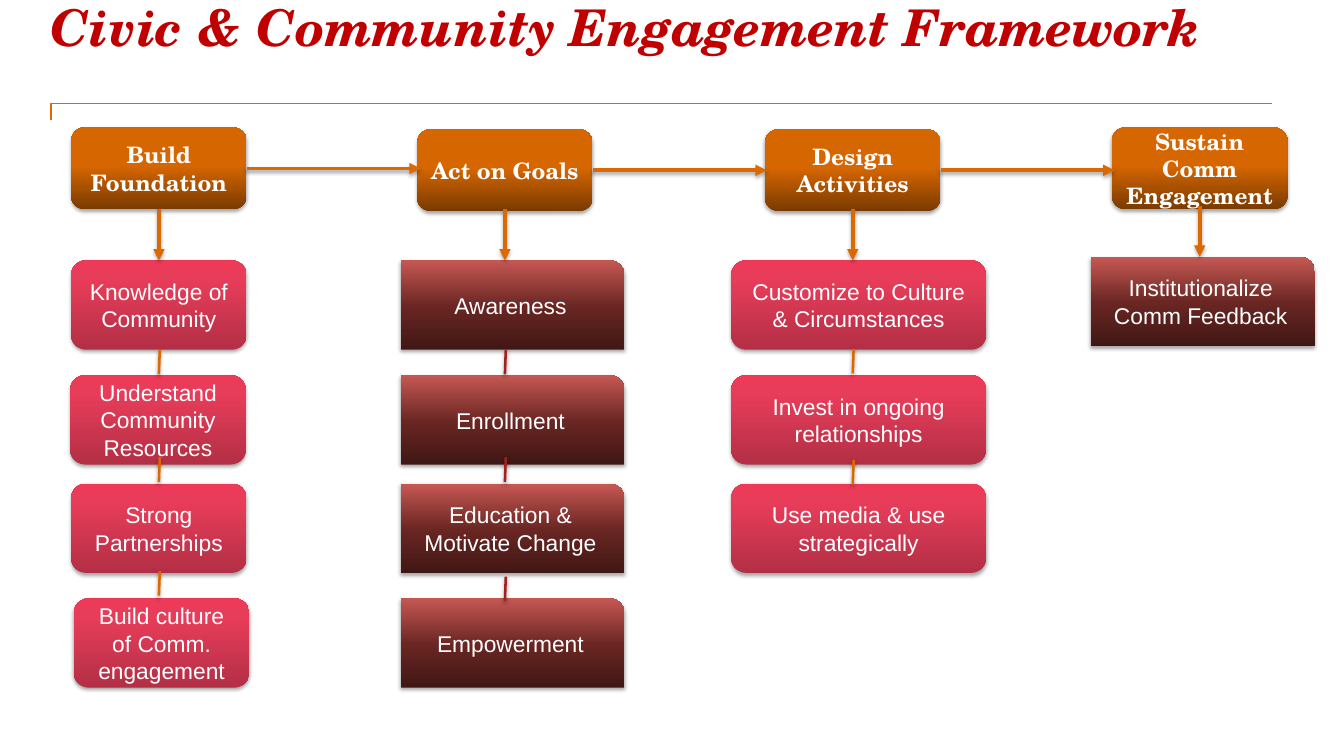
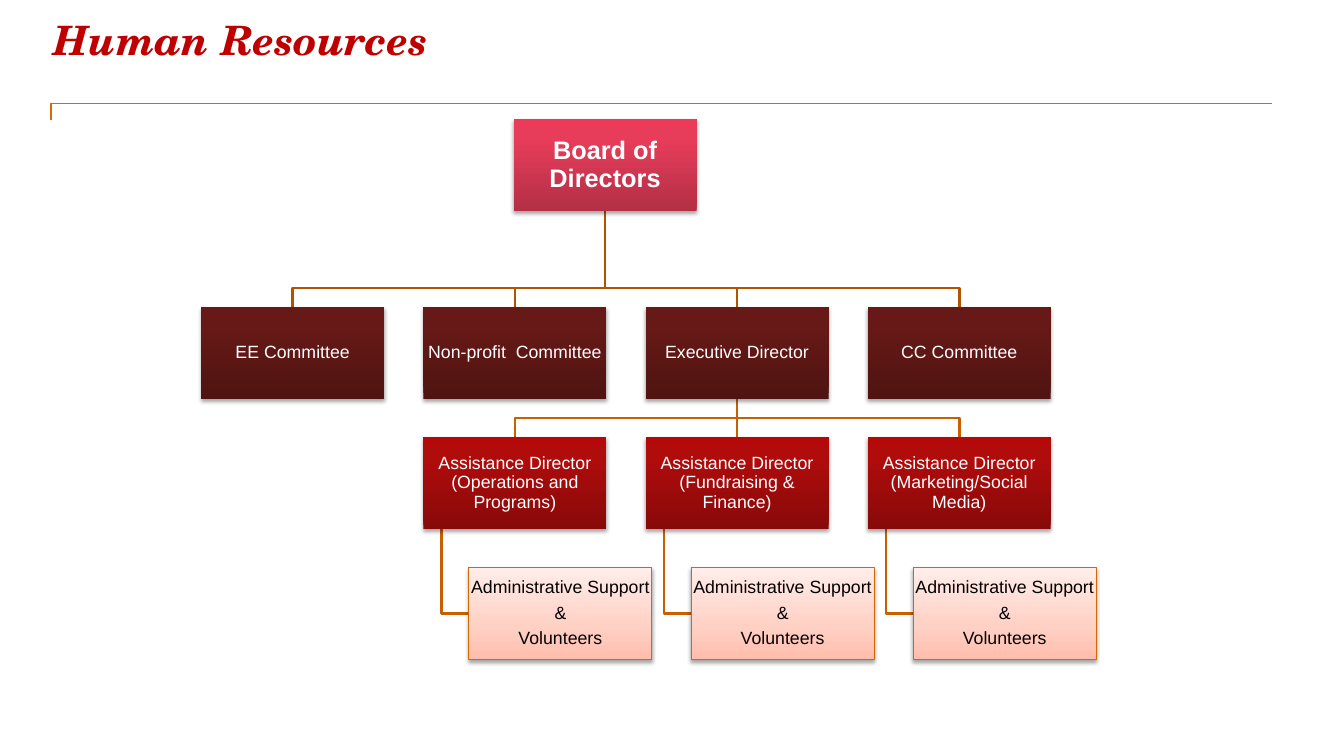
from copy import deepcopy
from dataclasses import dataclass
from typing import NamedTuple

from lxml.etree import SubElement
from pptx import Presentation
from pptx.dml.color import RGBColor
from pptx.enum.shapes import MSO_CONNECTOR as CONN, MSO_SHAPE as SHAPE
from pptx.enum.text import MSO_ANCHOR as ANCHOR, MSO_AUTO_SIZE as AUTO, PP_ALIGN as ALIGN
from pptx.oxml.ns import qn
from pptx.util import Inches, Pt

COLORS = {
    "white": "FFFFFF", "black": "000000", "title": "C00000", "orange": "DC6900",
    "red": "A32020", "upper_branch": "B05400", "lower_branch": "C85F00", "edge": "D76700",
}
GRADIENTS = {
    "orange": ((0, "793A00"), (53, "D56600"), (100, "D66600")),
    "pink": ((0, "B32F45"), (80, "E83D5A"), (100, "EC3A58")),
    "brown": ((0, "401715"), (48, "692623"), (100, "C65853")),
    "maroon": ((0, "4F1411"), (80, "661916"), (100, "681814")),
    "crimson": ((0, "880909"), (80, "B10C0C"), (100, "B50909")),
    "peach": ((0, "FFBDAC"), (35, "FFD0C4"), (100, "FFEDE9")),
}
SERIF, SANS = "TeX Gyre Schola", "Arial"


class Step(NamedTuple):
    text: str
    dx: float = 0


@dataclass
class Stage:
    title: str
    left: float
    top: float
    fill: str
    step_left: float
    step_width: float
    steps: list[Step]
    link_tops: tuple = ()
    link_color: str = "orange"
    shape: SHAPE = SHAPE.ROUNDED_RECTANGLE
    first_row: float = 2.86


@dataclass
class BoxStyle:
    fill: str
    size: float = 18
    font: str = SANS
    bold: bool = False
    color: str = "white"
    shape: SHAPE = SHAPE.RECTANGLE
    edge: str = ""
    inset: float = 0
    line_spacing: float = 1
    space_after: float = 0


HEAD_W, HEAD_H, STEP_H = 1.93, 0.9, 0.98
ROW_OFFSETS = (0, 1.26, 2.45, 3.71)
DROP, LINK = 0.56, 0.27
STAGES = [
    Stage("Build Foundation", 0.78, 1.4, "pink", 0.78, 1.93,
          [Step("Knowledge of Community"), Step("Understand Community Resources", -0.01),
           Step("Strong Partnerships"), Step("Build culture of Comm. engagement", 0.03)],
          (3.84, 5.02, 6.27)),
    Stage("Act on Goals", 4.58, 1.42, "brown", 4.4, 2.46,
          [Step("Awareness"), Step("Enrollment"), Step("Education & Motivate Change"),
           Step("Empowerment")],
          (3.84, 5.02, 6.33), "red", SHAPE.ROUND_1_RECTANGLE),
    Stage("Design Activities", 8.4, 1.42, "pink", 8.03, 2.8,
          [Step("Customize to Culture & Circumstances"), Step("Invest in ongoing relationships"),
           Step("Use media & use strategically")],
          (3.83, 5.05)),
    Stage("Sustain Comm Engagement", 12.21, 1.4, "brown", 11.98, 2.46,
          [Step("Institutionalize Comm Feedback")],
          shape=SHAPE.ROUND_1_RECTANGLE, first_row=2.82),
]
HEAD_STYLE = BoxStyle("orange", 17.9, SERIF, True, shape=SHAPE.ROUNDED_RECTANGLE)

ORG_W, ORG_H, ORG_LEFT, ORG_PITCH = 2.01, 1.01, 2.21, 2.44
BOARD_LEFT, BOARD_TOP = 5.64, 1.31
COMMITTEE_TOP, DIRECTOR_TOP, SUPPORT_TOP = 3.37, 4.8, 6.23
SUPPORT_SHIFT, STEM_SHIFT, BUS_GAP = 0.5, 0.2, 0.21
ORG_TEXT = {"inset": 0.01, "line_spacing": 0.9}
BOARD_STYLE = BoxStyle("pink", 20, bold=True, space_after=7, **ORG_TEXT)
COMMITTEE_STYLE = BoxStyle("maroon", 14, space_after=4.9, **ORG_TEXT)
DIRECTOR_STYLE = BoxStyle("crimson", 14, space_after=4.9, **ORG_TEXT)
SUPPORT_STYLE = BoxStyle("peach", 14, color="black", edge="edge", space_after=4.9, **ORG_TEXT)
COMMITTEES = ["EE Committee", "Non-profit  Committee", "Executive Director", "CC Committee"]
DIRECTORS = ["Operations and Programs", "Fundraising & Finance", "Marketing/Social Media"]
EXECUTIVE = COMMITTEES.index("Executive Director")


def rgb(name: str) -> RGBColor:
    return RGBColor.from_string(COLORS[name])


def set_all(target, values: dict) -> None:
    for name, value in values.items():
        setattr(target, name, value)


def set_effects(sp, shadow: bool) -> None:
    effects = SubElement(sp.element.spPr, qn("a:effectLst"))
    if shadow:
        shade = SubElement(effects, qn("a:outerShdw"), blurRad=str(Pt(3.1)), dist=str(Pt(1.8)),
                           dir="5400000", rotWithShape="0")
        color = SubElement(shade, qn("a:srgbClr"), val=COLORS["black"])
        SubElement(color, qn("a:alpha"), val="35000")


def set_gradient(sp, name: str) -> None:
    sp.fill.gradient()
    sp.fill.gradient_angle = 90
    stops = sp.element.spPr.find(".//" + qn("a:gsLst"))
    stops.append(deepcopy(stops[0]))
    for stop, (position, color) in zip(sp.fill.gradient_stops, GRADIENTS[name]):
        stop.position = position / 100
        stop.color.rgb = RGBColor.from_string(color)


def set_line(sp, color: str, width: float) -> None:
    sp.line.color.rgb = rgb(color)
    sp.line.width = Pt(width)


def add_box(s, text: str, left: float, top: float, width: float, height: float,
            style: BoxStyle) -> None:
    sp = s.shapes.add_shape(style.shape, Inches(left), Inches(top), Inches(width), Inches(height))
    set_gradient(sp, style.fill)
    if style.edge:
        set_line(sp, style.edge, 0.75)
    else:
        sp.line.fill.background()
    set_effects(sp, True)
    tf = sp.text_frame
    set_all(tf, {"word_wrap": True, "vertical_anchor": ANCHOR.MIDDLE})
    if style.inset:
        set_all(tf, {f"margin_{side}": Inches(style.inset)
                     for side in ("left", "top", "right", "bottom")})
    tf.text = text
    for p in tf.paragraphs:
        set_all(p, {"alignment": ALIGN.CENTER, "line_spacing": style.line_spacing,
                    "space_after": Pt(style.space_after)})
        set_all(p.font, {"name": style.font, "size": Pt(style.size), "bold": style.bold})
        p.font.color.rgb = rgb(style.color)


def add_link(s, x1: float, y1: float, x2: float, y2: float, color: str, width: float,
             arrow: bool = False, shadow: bool = True, kind: CONN = CONN.STRAIGHT):
    c = s.shapes.add_connector(kind, Inches(x1), Inches(y1), Inches(x2), Inches(y2))
    set_line(c, color, width)
    if arrow:
        SubElement(c.line._get_or_add_ln(), qn("a:tailEnd"), type="triangle")
    set_effects(c, shadow)
    return c


def add_branch(s, points: list[tuple[float, float]], color: str) -> None:
    if len({x for x, _ in points}) == 1:
        add_link(s, *points[0], *points[-1], color, 2, shadow=False)
        return
    corners = [(Inches(x), Inches(y)) for x, y in points]
    builder = s.shapes.build_freeform(*corners[0])
    builder.add_line_segments(corners[1:], close=False)
    sp = builder.convert_to_shape()
    sp.fill.background()
    set_line(sp, color, 2)
    set_effects(sp, False)


def add_tree(s, x: float, top: float, children: list[float], bottom: float, color: str) -> None:
    bus = bottom - BUS_GAP
    for child in children:
        add_branch(s, [(x, top), (x, bus), (child, bus), (child, bottom)], color)


def add_rule(s, layout) -> None:
    c = add_link(s, 0.56, 1.32, 13.97, 1.14, "orange", 1, shadow=False, kind=CONN.ELBOW)
    geometry = c.element.spPr.find(qn("a:prstGeom"))
    guides = geometry.find(qn("a:avLst"))
    if guides is None:
        guides = SubElement(geometry, qn("a:avLst"))
    SubElement(guides, qn("a:gd"), name="adj1", fmla="val 0")
    c.element.nvCxnSpPr.cNvPr.set("id", "100")
    layout.shapes.element.append(c.element)


def add_titled_slide(prs, title: str, left: float, top: float, width: float, height: float,
                     size: float):
    s = prs.slides.add_slide(prs.slide_layouts[5])
    sp = s.shapes.title
    set_all(sp, {"left": Inches(left), "top": Inches(top),
                 "width": Inches(width), "height": Inches(height)})
    tf = sp.text_frame
    tf.text = title
    set_all(tf, {"word_wrap": True, "auto_size": AUTO.NONE, "vertical_anchor": ANCHOR.TOP,
                 "margin_left": 0, "margin_top": 0, "margin_right": 0, "margin_bottom": 0})
    p = tf.paragraphs[0]
    p.alignment = ALIGN.LEFT
    r = p.runs[0]
    set_all(r.font, {"name": SERIF, "size": Pt(size), "bold": True, "italic": True})
    r.font.color.rgb = rgb("title")
    return s


def add_framework(s) -> None:
    for stage in STAGES:
        add_box(s, stage.title, stage.left, stage.top, HEAD_W, HEAD_H, HEAD_STYLE)
        style = BoxStyle(stage.fill, shape=stage.shape)
        for step, offset in zip(stage.steps, ROW_OFFSETS):
            add_box(s, step.text, stage.step_left + step.dx, stage.first_row + offset,
                    stage.step_width, STEP_H, style)
    for stage in STAGES:
        x, y = stage.left + HEAD_W / 2, stage.top + HEAD_H / 2
        add_link(s, x, stage.first_row - DROP, x, stage.first_row, "orange", 3, arrow=True)
        if stage is not STAGES[-1]:
            right = stage.left + HEAD_W
            add_link(s, right, y, right + 1.91, y, "orange", 3, arrow=True)
        for top in stage.link_tops:
            add_link(s, x + 0.01, top, x, top + LINK, stage.link_color, 2)


def add_org_chart(s) -> None:
    lefts = [ORG_LEFT + i * ORG_PITCH for i in range(len(COMMITTEES))]
    centers = [left + ORG_W / 2 for left in lefts]
    add_tree(s, BOARD_LEFT + ORG_W / 2, BOARD_TOP + ORG_H, centers, COMMITTEE_TOP, "upper_branch")
    add_tree(s, centers[EXECUTIVE], COMMITTEE_TOP + ORG_H, centers[1:], DIRECTOR_TOP,
             "lower_branch")
    add_box(s, "Board of Directors", BOARD_LEFT, BOARD_TOP, ORG_W, ORG_H, BOARD_STYLE)
    for name, left in zip(COMMITTEES, lefts):
        add_box(s, name, left, COMMITTEE_TOP, ORG_W, ORG_H, COMMITTEE_STYLE)
    for area, left in zip(DIRECTORS, lefts[1:]):
        stem, middle = left + STEM_SHIFT, SUPPORT_TOP + ORG_H / 2
        support_left = left + SUPPORT_SHIFT
        add_branch(s, [(stem, DIRECTOR_TOP + ORG_H), (stem, middle), (support_left, middle)],
                   "lower_branch")
        add_box(s, f"Assistance Director ({area})", left, DIRECTOR_TOP, ORG_W, ORG_H,
                DIRECTOR_STYLE)
        add_box(s, "Administrative Support\n&\nVolunteers", support_left, SUPPORT_TOP,
                ORG_W, ORG_H, SUPPORT_STYLE)


def main() -> None:
    prs = Presentation()
    set_all(prs, {"slide_width": Inches(14.76), "slide_height": Inches(8.3)})
    s = add_titled_slide(prs, "Civic & Community Engagement Framework",
                         0.55, -0.04, 14.21, 1.18, 40)
    add_rule(s, prs.slide_layouts[5])
    add_framework(s)
    s = add_titled_slide(prs, "Human Resources", 0.59, 0.17, 13.43, 0.98, 32)
    add_org_chart(s)
    prs.save("out.pptx")


if __name__ == "__main__":
    main()
